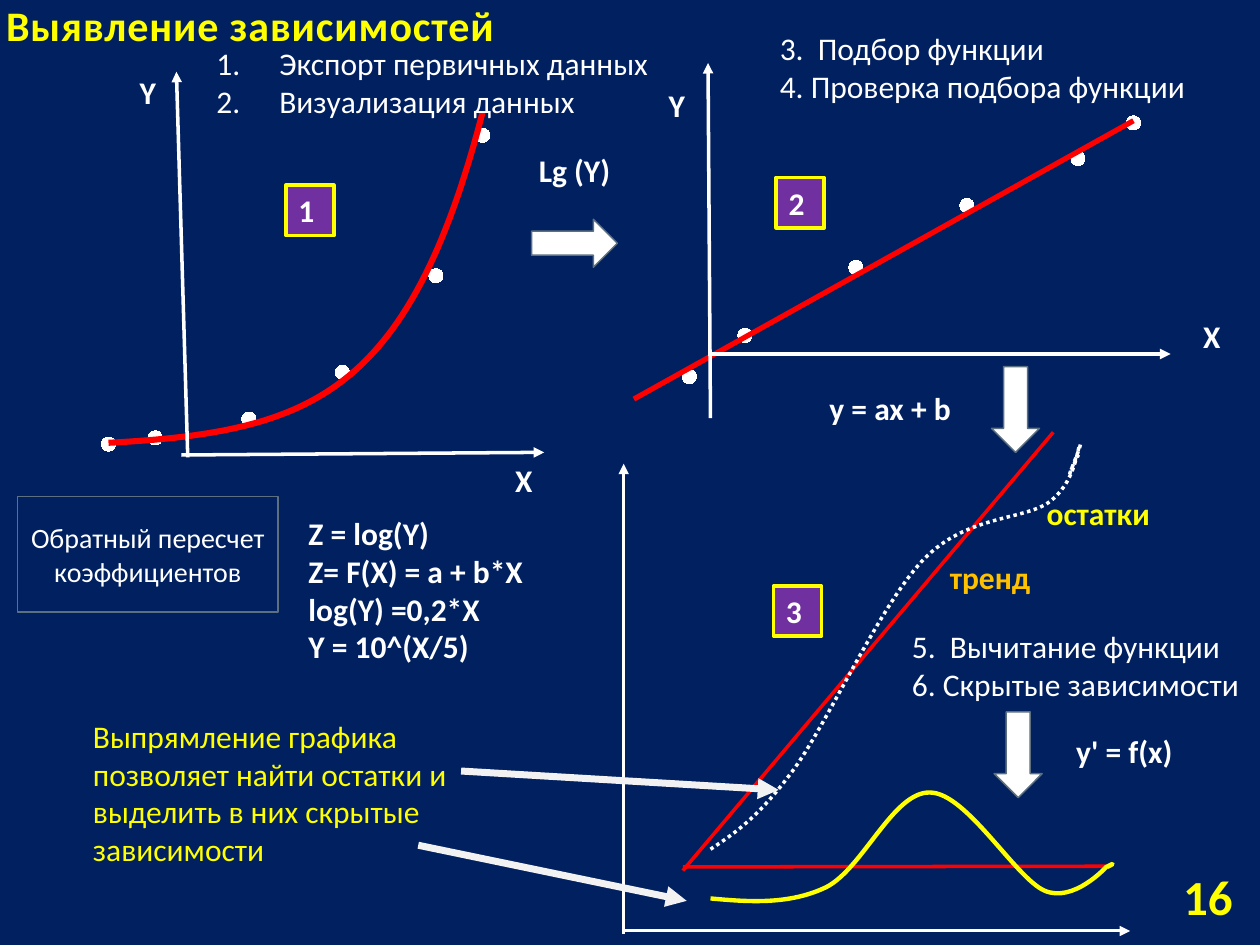
"""Build the slide on finding dependencies: raw data, straightened data, trend and residuals."""
from dataclasses import dataclass
from math import cos, radians, sin

from lxml.etree import SubElement
from pptx import Presentation
from pptx.chart.data import XyChartData
from pptx.dml.color import RGBColor
from pptx.enum.chart import XL_CHART_TYPE as ChartType, XL_MARKER_STYLE as Marker
from pptx.enum.dml import MSO_LINE as Dash
from pptx.enum.shapes import MSO_CONNECTOR as Connector, MSO_SHAPE as Preset
from pptx.enum.text import MSO_ANCHOR as Anchor, MSO_AUTO_SIZE as AutoSize, PP_ALIGN as Align
from pptx.oxml import parse_xml
from pptx.oxml.ns import nsdecls, qn
from pptx.util import Pt


@dataclass(frozen=True)
class Theme:
    font: str = "Calibri"
    navy: str = "002060"
    white: str = "FFFFFF"
    pale: str = "F2F2F2"
    yellow: str = "FFFF00"
    orange: str = "FFC000"
    red: str = "FF0000"
    purple: str = "7030A0"
    slate: str = "5D7080"
    number: int = 28
    title: int = 24
    body: int = 18
    note: int = 16
    chart: int = 14


theme = Theme()
rgb = RGBColor.from_string


def write(frame, lines, color=theme.white, size=theme.body, bold=False, align=Align.LEFT):
    for index, line in enumerate(lines):
        para = frame.paragraphs[0] if index == 0 else frame.add_paragraph()
        para.alignment = align
        span = para.add_run()
        span.text = line
        span.font.name, span.font.size, span.font.bold = theme.font, Pt(size), bold
        span.font.color.rgb = rgb(color)


def add_line(shapes, start, end, color, width, arrow=True):
    line = shapes.add_connector(Connector.STRAIGHT, *map(Pt, start + end))
    line.line.color.rgb, line.line.width = rgb(color), Pt(width)
    SubElement(line.element.spPr, qn("a:effectLst"))
    if arrow:
        SubElement(line.line._get_or_add_ln(), qn("a:tailEnd"), type="triangle")


deck = Presentation()
deck.slide_width, deck.slide_height = Pt(720), Pt(540)
page = deck.slides.add_slide(deck.slide_layouts[6])
page.background.fill.solid()
page.background.fill.fore_color.rgb = rgb(theme.navy)

arguments = (40, 45, 55, 65, 75, 80)
charts = [
    ((360.7, 23, 339.8, 216), (14, 28, 51, 72, 88, 100), 115, "linear", 3, 5, (0.003, 0.102, 0.935, 0.898)),
    ((20.2, 43.2, 289.4, 214.6), (1, 3, 9, 24, 55, 100), 108, "exp", 3.5, 0, (0.052, 0.093, 0.924, 0.898)),
]
for place, values, top, trend, width, backward, layout in charts:
    data = XyChartData()
    points = data.add_series("Series 1")
    for x, y in zip(arguments, values):
        points.add_data_point(x, y)
    chart = page.shapes.add_chart(ChartType.XY_SCATTER, *map(Pt, place), data).chart
    chart.has_legend = chart.has_title = False
    chart.font.name, chart.font.size = theme.font, Pt(theme.chart)
    chart.font.color.rgb = rgb(theme.white)
    for axis, low, high in ((chart.category_axis, 35, 85), (chart.value_axis, 0, top)):
        axis.minimum_scale, axis.maximum_scale = low, high
        axis.has_major_gridlines = axis.visible = False
    plot = chart.plots[0]
    plot.vary_by_categories = False
    series = plot.series[0]
    series.smooth = False
    series.format.line.fill.background()
    series.marker.style, series.marker.size = Marker.CIRCLE, 8
    series.marker.format.fill.solid()
    series.marker.format.fill.fore_color.rgb = rgb(theme.white)
    series.marker.format.line.color.rgb = rgb(theme.white)
    area = chart.element.find(".//" + qn("c:plotArea"))
    for old in area.findall(qn("c:layout")):
        area.remove(old)
    parts = "".join(f'<c:{key} val="{share}"/>' for key, share in zip("xywh", layout))
    area.insert(0, parse_xml(
        f'<c:layout {nsdecls("c")}><c:manualLayout><c:layoutTarget val="inner"/>'
        f'<c:xMode val="edge"/><c:yMode val="edge"/>{parts}</c:manualLayout></c:layout>'))
    area.find(".//" + qn("c:xVal")).addprevious(parse_xml(
        f'<c:trendline {nsdecls("c", "a")}><c:spPr><a:ln w="{Pt(width)}"><a:solidFill>'
        f'<a:srgbClr val="{theme.red}"/></a:solidFill></a:ln></c:spPr>'
        f'<c:trendlineType val="{trend}"/><c:backward val="{backward}"/>'
        f'<c:dispRSqr val="0"/><c:dispEq val="0"/></c:trendline>'))

sketch = page.shapes.add_group_shape().shapes
add_line(sketch, (356.4, 532), (645.8, 532), theme.white, 1.75)
add_line(sketch, (356.4, 533.5), (356.4, 265), theme.white, 1.75)
add_line(sketch, (390.2, 497.5), (601.9, 247), theme.red, 2, arrow=False)
add_line(sketch, (390.2, 495.4), (632.2, 495), theme.red, 2, arrow=False)

residuals = [
    (406, 485.3), (419, 476.6), (432.7, 468), (452.9, 440.6), (473, 413.3), (503.3, 344.9),
    (527.8, 319.7), (552.2, 294.5), (583.9, 297.4), (599, 287.3), (614.2, 276.5), (615.6, 257),
    (617, 254.2), (619.2, 251.3), (611.3, 270), (611.3, 270.7), (610.6, 271.4), (613.4, 265.7),
    (616.3, 259.9)]
hidden_wave = [
    (406, 513.4), (428.4, 515.5), (451.4, 517), (472.3, 506.9), (493.2, 496.1), (510.5, 452.2),
    (531.4, 452.9), (552.2, 452.9), (580.3, 501.8), (596.9, 509), (613.4, 516.2), (632.2, 495.4),
    (632.2, 495.4), (637.9, 492.5), (635.8, 493.9), (632.9, 495.4)]
for knots, color, width, dash, turn in (
        (residuals, theme.white, 2, Dash.ROUND_DOT, 20.3),
        (hidden_wave, theme.yellow, 2.5, None, 0)):
    c, s = cos(radians(turn)), sin(radians(turn))
    upright = [(x * c + y * s, y * c - x * s) for x, y in knots]
    builder = sketch.build_freeform(*map(Pt, upright[0]))
    builder.add_line_segments([tuple(map(Pt, knot)) for knot in upright[1:]], close=False)
    curve = builder.convert_to_shape()
    outline = curve.element.find(".//" + qn("a:path"))
    segments = outline.findall(qn("a:lnTo"))
    for first in range(0, len(segments), 3):
        bend = SubElement(outline, qn("a:cubicBezTo"))
        for segment in segments[first:first + 3]:
            bend.append(segment[0])
            outline.remove(segment)
    across, down = curve.left + curve.width / 2, curve.top + curve.height / 2
    curve.left = int(across * c - down * s - curve.width / 2)
    curve.top = int(across * s + down * c - curve.height / 2)
    curve.rotation = turn
    curve.shadow.inherit = False
    curve.fill.background()
    curve.line.color.rgb, curve.line.width = rgb(color), Pt(width)
    curve.line.dash_style = dash

for left, top, turn in ((303.8, 125.3, 0), (555.8, 220.3, 90), (557.3, 417.6, 90)):
    arrow = page.shapes.add_shape(Preset.RIGHT_ARROW, Pt(left), Pt(top), Pt(49), Pt(27.4))
    arrow.rotation = turn
    arrow.shadow.inherit = False
    arrow.fill.solid()
    arrow.fill.fore_color.rgb = rgb(theme.white)
    arrow.line.color.rgb, arrow.line.width = rgb(theme.slate), Pt(0.85)

for start, end in (
        ((103.7, 260), (311, 258.5)), ((404.6, 202.3), (668.9, 202.3)),
        ((406, 239), (404.6, 36)), ((107.3, 261.4), (100.8, 41))):
    add_line(page.shapes, start, end, theme.white, 2)
add_line(page.shapes, (263.5, 440.6), (445, 451.4), theme.pale, 4)
add_line(page.shapes, (239, 483), (392.4, 514.8), theme.pale, 4)

bold, centered = {"bold": True}, {"bold": True, "align": Align.CENTER}
texts = [
    ((680.4, 177.8, 24.5, 29), ["X"], bold),
    ((375, 45.4, 24, 29), ["Y"], bold),
    ((72.7, 38.2, 24, 29), ["Y"], bold),
    ((287.3, 260, 24.5, 29), ["X"], bold),
    ((46, 406, 217.4, 94.3),
     ["Выпрямление графика позволяет найти остатки и выделить в них скрытые зависимости"],
     {"color": theme.yellow}),
    ((275.8, 82.8, 105, 29), ["Lg (Y)"], centered),
    ((452.2, 218.9, 113, 29), ["y = ax + b"], centered),
    ((586, 414.7, 113, 29), ["y' = f(x)"], centered),
    ((591, 278.6, 82.8, 29), ["остатки"], {"color": theme.yellow, "bold": True}),
    ((535.7, 315.4, 82.8, 29), ["тренд"], {"color": theme.orange, "bold": True}),
    ((169.2, 290.2, 151.2, 94.3),
     ["Z = log(Y)", "Z= F(X) = a + b*X", "log(Y) =0,2*X", "Y = 10^(X/5)"], bold),
    ((438.5, 13, 295, 51), ["3.  Подбор функции", "4. Проверка подбора функции"], {}),
    ((514, 355, 203.8, 51), ["5.  Вычитание функции", "6. Скрытые зависимости"], {}),
    ((116.6, 21.8, 275.8, 51), ["Экспорт первичных данных", "Визуализация данных"], {}),
]
for place, lines, style in texts:
    frame = page.shapes.add_textbox(*map(Pt, place)).text_frame
    frame.word_wrap = lines not in (["X"], ["Y"])
    frame.auto_size = AutoSize.SHAPE_TO_FIT_TEXT
    write(frame, lines, **style)
for para in frame.paragraphs:
    settings = para._p.get_or_add_pPr()
    settings.set("marL", str(Pt(36)))
    settings.set("indent", str(Pt(-36)))
    SubElement(settings, qn("a:buAutoNum"), type="arabicPeriod")

title = page.shapes.add_textbox(Pt(-3.6), Pt(-0.7), Pt(387.4), Pt(33)).text_frame
title.word_wrap, title.vertical_anchor = True, Anchor.BOTTOM
write(title, ["Выявление зависимостей"], theme.yellow, theme.title, True)
title.paragraphs[0].runs[0].font._element.set("spc", "50")
number = page.shapes.add_textbox(Pt(626.4), Pt(497.5), Pt(85), Pt(29)).text_frame
number.word_wrap, number.vertical_anchor = True, Anchor.MIDDLE
write(number, ["16"], theme.yellow, theme.number, True, Align.RIGHT)

panels = [
    ((10, 283.7, 149, 66.2), "Обратный пересчет коэффициентов", theme.navy, theme.slate, 0.85,
     {"size": theme.note, "align": Align.CENTER})]
for label, left, top in (("1", 163.4, 105.8), ("2", 443.5, 101.5), ("3", 442, 334.8)):
    panels.append(((left, top, 27.4, 28.8), label, theme.purple, theme.yellow, 2, bold))
for place, label, fill, edge, width, style in panels:
    box = page.shapes.add_shape(Preset.RECTANGLE, *map(Pt, place))
    box.shadow.inherit = False
    box.fill.solid()
    box.fill.fore_color.rgb = rgb(fill)
    box.line.color.rgb, box.line.width = rgb(edge), Pt(width)
    box.text_frame.word_wrap, box.text_frame.vertical_anchor = True, Anchor.MIDDLE
    write(box.text_frame, [label], **style)

deck.save("out.pptx")
